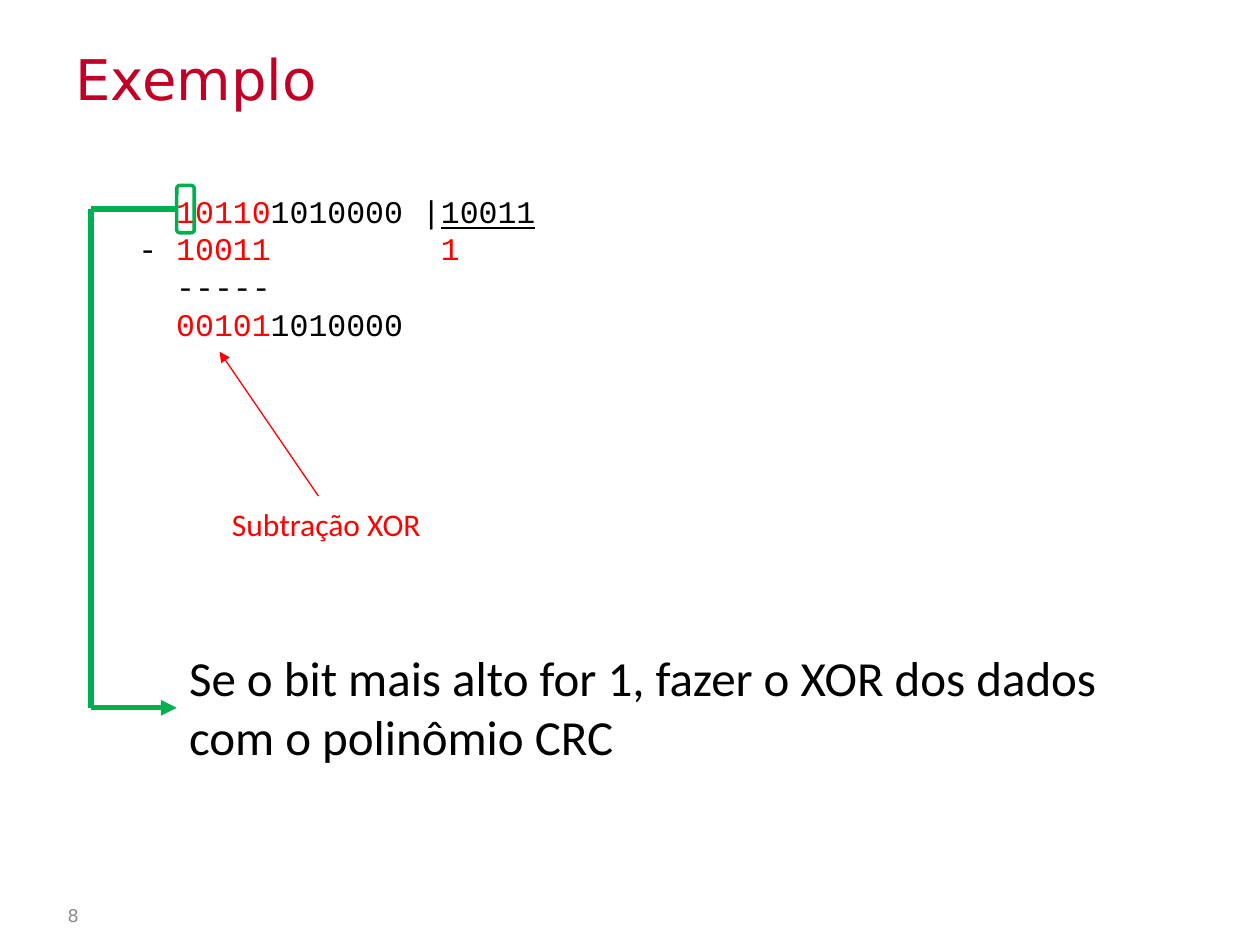
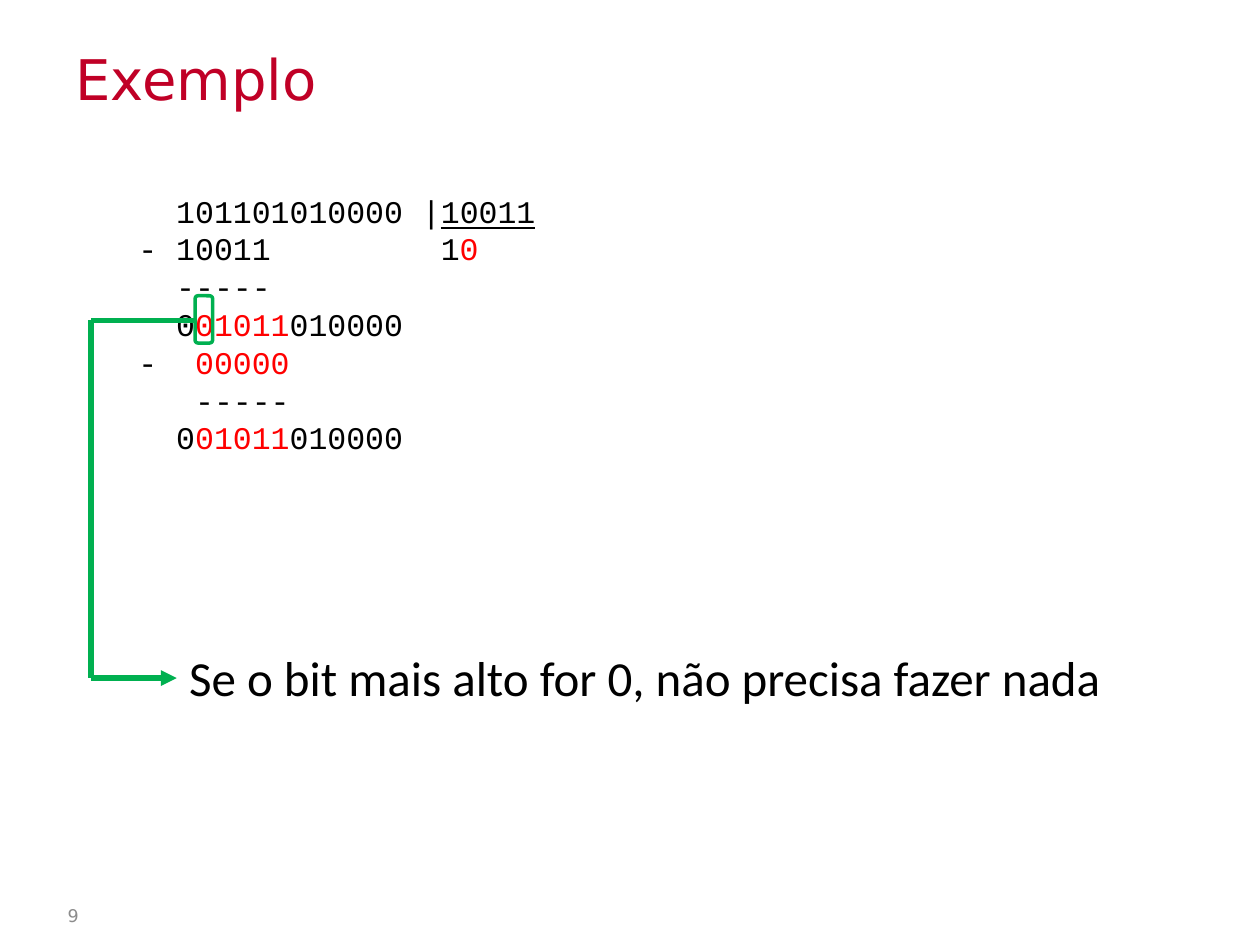
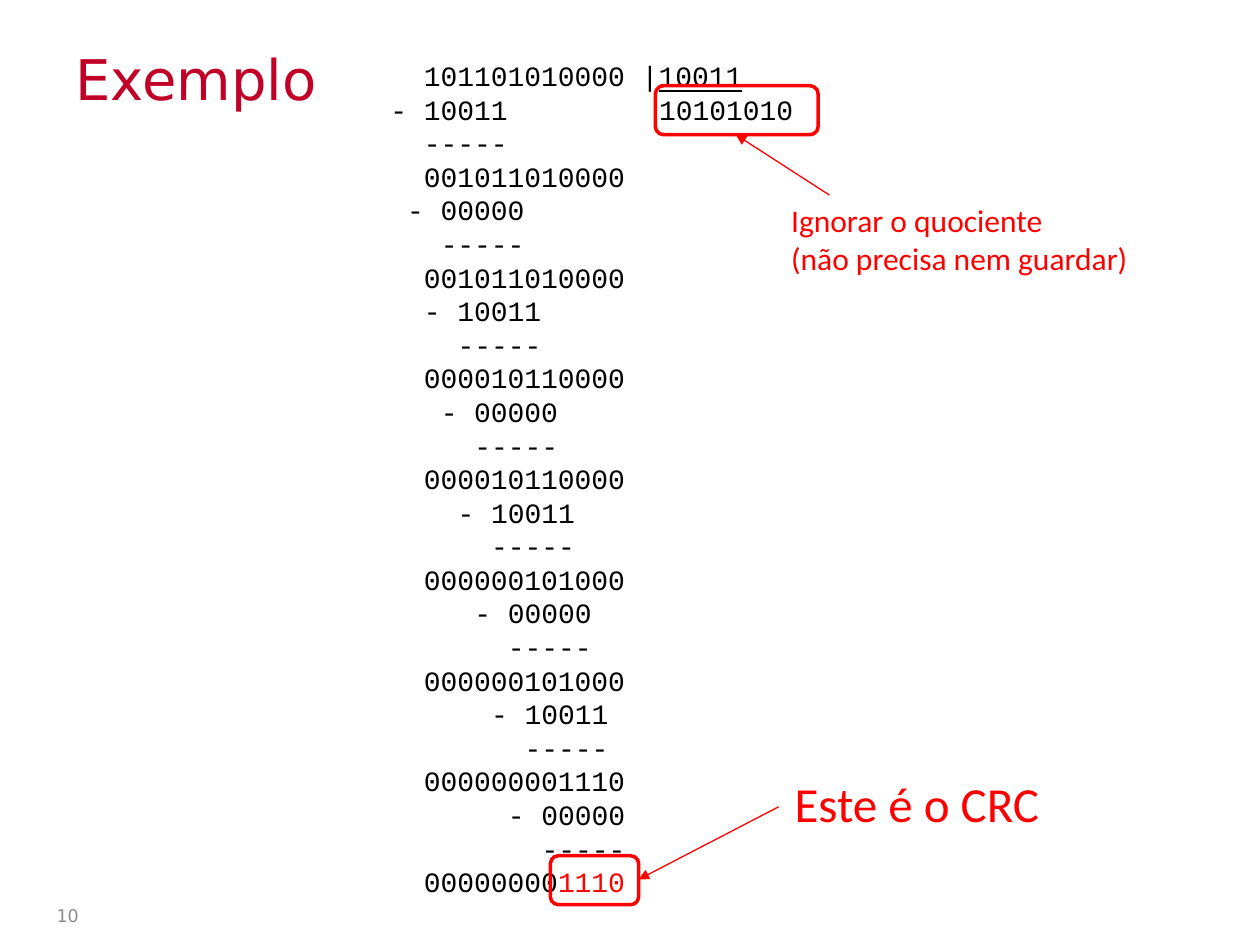
from pptx import Presentation
from pptx.dml.color import RGBColor
from pptx.enum.shapes import MSO_CONNECTOR, MSO_SHAPE
from pptx.enum.text import MSO_ANCHOR, PP_ALIGN
from pptx.oxml.ns import qn
from pptx.util import Pt
from lxml.etree import SubElement

COLORS = {"title": "C00026", "number": "8C8C8C", "text": "000000",
          "red": "FF0000", "green": "00B050"}
TITLE = {"name": "DejaVu Sans", "size": Pt(32), "color": "title"}
NUMBER = {"name": "DejaVu Sans", "size": Pt(10), "color": "number"}
CODE = {"name": "Courier New", "size": Pt(18), "color": "text"}
CODE_SMALL = {**CODE, "size": Pt(16)}
RULE = {"name": "Calibri", "size": Pt(28), "color": "text"}
RESULT = {**RULE, "color": "red"}
NOTE = {**RESULT, "size": Pt(18)}


def add_text(s, box, rows, fmt, wrap=False):
    """Rows are (tab columns, text); *...* is red, text after | is underlined."""
    tf = s.shapes.add_textbox(*map(Pt, box)).text_frame
    tf.word_wrap = wrap
    for i, (columns, row) in enumerate(rows):
        p = tf.paragraphs[0] if i == 0 else tf.add_paragraph()
        if columns:
            tabs = SubElement(p._p.get_or_add_pPr(), qn("a:tabLst"))
            for column in columns:
                SubElement(tabs, qn("a:tab"), algn="l",
                           pos=str(int(column * 0.6 * fmt["size"])))
        plain, bar, divisor = row.partition("|")
        runs = [(t, "red" if k % 2 else fmt["color"], None)
                for k, t in enumerate((plain + bar).split("*"))]
        runs.append((divisor, fmt["color"], True))
        for text, color, underline in runs:
            if text:
                r = p.add_run()
                r.text = text
                for name, value in {"name": fmt["name"], "size": fmt["size"],
                                    "underline": underline}.items():
                    setattr(r.font, name, value)
                r.font.color.rgb = RGBColor.from_string(COLORS[color])
    return tf


def add_line(s, start, end, color, width, arrow=True):
    c = s.shapes.add_connector(MSO_CONNECTOR.STRAIGHT, *map(Pt, start + end))
    c.line.color.rgb = RGBColor.from_string(COLORS[color])
    c.line.width = Pt(width)
    if arrow:
        SubElement(c.line._ln, qn("a:tailEnd"), type="triangle")
    SubElement(c._element.spPr, qn("a:effectLst"))


prs = Presentation()
prs.slide_width, prs.slide_height = Pt(720), Pt(540)

# Title and slide number
slides = []
for number in (8, 9, 10):
    s = prs.slides.add_slide(prs.slide_layouts[6])
    add_text(s, (36, 21.6, 500, 90), [((), "Exemplo")], TITLE, wrap=True)
    tf = add_text(s, (3, 508.5, 49, 29), [((), str(number))], NUMBER, wrap=True)
    tf.vertical_anchor = MSO_ANCHOR.MIDDLE
    tf.paragraphs[0].alignment = PP_ALIGN.RIGHT
    slides.append(s)
first, second, full = slides

# First step: the leading bit is 1
add_text(first, (72, 106, 286, 94), [
    ((2, 25), "\t*10110*1010000 |10011\t"),
    ((16,), "- *10011\t1*"),
    ((2,), "\t-----"),
    ((2,), "\t*00101*1010000"),
], CODE, wrap=True)
add_line(first, (182, 283.5), (125.5, 201), "red", 0.75)
add_text(first, (125.5, 285, 124, 29), [((), "Subtração XOR")], NOTE)
add_text(first, (101, 366.5, 545, 75), [
    ((), "Se o bit mais alto for 1, fazer o XOR dos dados"),
    ((), "com o polinômio CRC"),
], RULE)

# Second step: the leading bit is 0
add_text(second, (72, 106, 286, 160), [
    ((2, 25), "\t101101010000 |10011\t"),
    ((16,), "- 10011\t1*0*"),
    ((2,), "\t-----"),
    ((2,), "\t0*01011*010000"),
    ((3,), "-\t*00000*"),
    ((3,), "\t-----"),
    ((2,), "\t0*01011*010000"),
], CODE, wrap=True)
add_text(second, (101, 366.5, 541, 41),
         [((), "Se o bit mais alto for 0, não precisa fazer nada")], RULE)

# Green path from the leading bit to its rule
for s, bit_x, bit_y, rule_y in ((first, 101, 119.5, 404.5), (second, 111.5, 183, 387.5)):
    path_points = [(bit_x, bit_y), (52, bit_y), (52, rule_y), (101, rule_y)]
    for k in range(3):
        add_line(s, path_points[k], path_points[k + 1], "green", 3, arrow=k == 2)

# Full division, worked out bit by bit
remainder, divisor, steps = 0b101101010000, 0b10011, 8
rows = [((2, 25), f"\t{remainder:012b} |{divisor:05b}\t")]
quotient = ""
for i in range(steps):
    shift = steps - 1 - i
    bit = remainder >> (shift + 4) & 1
    quotient += str(bit)
    remainder ^= bit * divisor << shift
    rows += [((i,), f"\t- {bit * divisor:05b}"),
             ((i + 2,), "\t-----"),
             ((2,), f"\t{remainder:012b}")]
rows[1] = ((16,), f"- {divisor:05b}\t{quotient}")
rows[-1] = ((2,), f"\t{remainder >> 4:08b}*{remainder & 15:04b}*")
add_text(full, (216, 30, 258, 492), rows, CODE_SMALL, wrap=True)

# Notes on quotient and remainder
add_text(full, (445, 111.5, 209.5, 51), [
    ((), "Ignorar o quociente"),
    ((), "(não precisa nem guardar)"),
], NOTE)
add_line(full, (474, 111.5), (420.5, 77), "red", 0.75)
add_text(full, (447, 438.5, 155.5, 41), [((), "Este é o CRC")], RESULT)
add_line(full, (445, 461), (365, 502.5), "red", 0.75)

# Frames around the highlighted bits
for s, box, color in ((first, (101, 106, 10, 27), "green"),
                      (second, (111.5, 169, 10, 27), "green"),
                      (full, (374.5, 49, 93, 28), "red"),
                      (full, (314.5, 489, 50.5, 28), "red")):
    sp = s.shapes.add_shape(MSO_SHAPE.ROUNDED_RECTANGLE, *map(Pt, box))
    sp.shadow.inherit = False
    sp.fill.background()
    sp.line.color.rgb = RGBColor.from_string(COLORS[color])
    sp.line.width = Pt(2)

prs.save("out.pptx")
